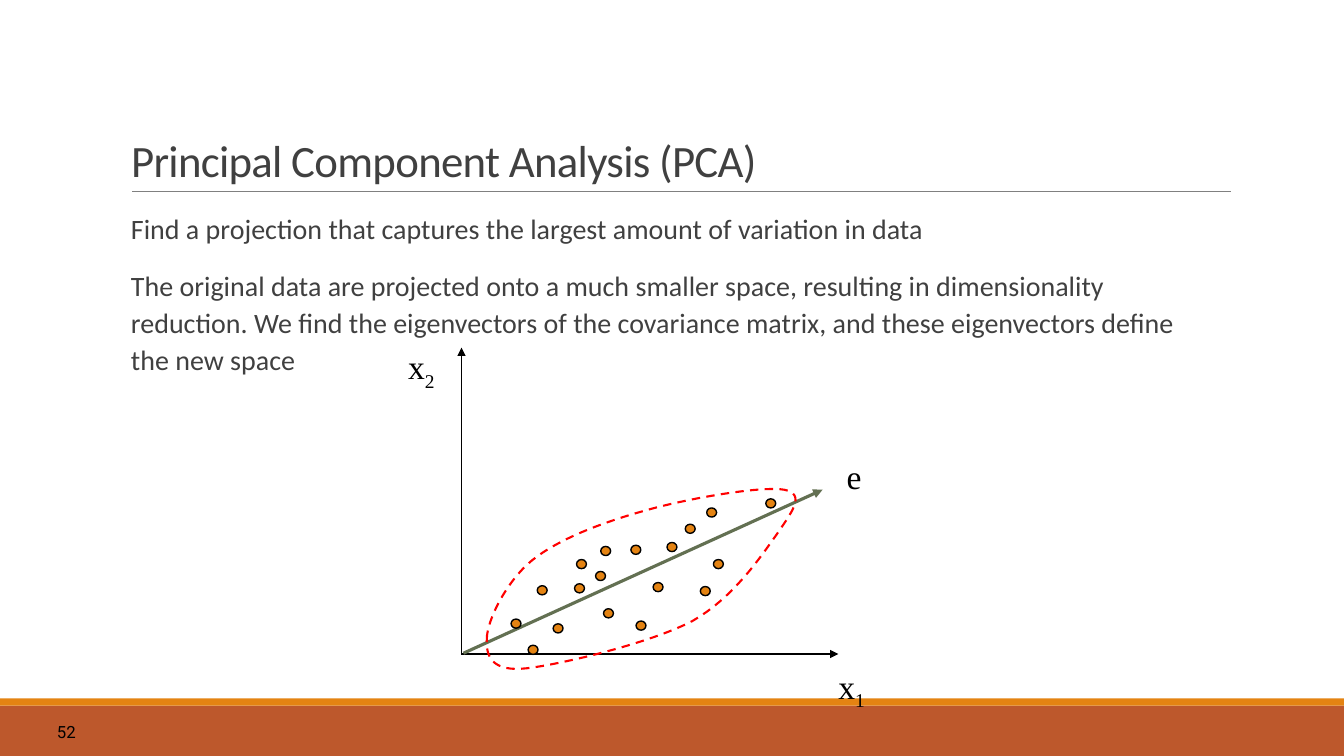
from dataclasses import dataclass

from pptx import Presentation
from pptx.dml.color import RGBColor
from pptx.enum import dml, shapes, text
from pptx.oxml.ns import qn
from pptx.util import Cm, Pt
from lxml import etree


@dataclass(frozen=True)
class Theme:
    rust: str = "BD582C"
    orange: str = "E48312"
    olive: str = "637052"
    red: str = "FF0000"
    rule: str = "808080"
    body_ink: str = "404040"
    black: str = "000000"
    body_font: str = "Calibri"
    label_font: str = "Times New Roman"
    number_font: str = "Roboto"
    title_size: int = 32
    body_size: int = 20
    label_size: int = 24
    number_size: int = 12


THEME = Theme()
ORIGIN = (11.63, 16.48)

# Left and top of each data point, in centimetres
DATA_POINTS = [
    (13.54, 14.76), (14.53, 14.10), (12.88, 15.60), (15.01, 14.40),
    (14.48, 14.71), (16.46, 14.68), (16.03, 15.65), (15.21, 15.34),
    (15.90, 13.74), (17.98, 14.10), (19.30, 12.57), (13.94, 15.72),
    (16.81, 13.67), (17.81, 12.80), (15.14, 13.77), (17.27, 13.21),
    (17.65, 14.78), (13.31, 16.26),
]

# Each Bezier segment: two control points and an end point, in centimetres
CLUSTER_START = (12.27, 16.10)
CLUSTER_CURVES = [
    ((12.27, 15.65), (12.75, 14.66), (13.41, 14.12)),
    ((14.07, 13.59), (15.14, 13.18), (16.21, 12.88)),
    ((17.27, 12.57), (19.18, 12.24), (19.76, 12.34)),
    ((20.32, 12.45), (19.96, 12.90), (19.58, 13.46)),
    ((19.18, 14.02), (18.49, 15.06), (17.45, 15.65)),
    ((16.38, 16.21), (14.15, 16.74), (13.28, 16.84)),
    ((12.42, 16.94), (12.24, 16.56), CLUSTER_START),
]


def rgb(colour):
    return RGBColor.from_string(colour)


def lengths(*values):
    return [Cm(value) for value in values]


def place(shape, left, top, width, height):
    shape.left, shape.top, shape.width, shape.height = lengths(left, top, width, height)


def write(para, words, *, font, size, colour, align=text.PP_ALIGN.LEFT,
          line_spacing=None, before=0, after=0, tracking=None, subscript=None):
    """Fill a paragraph with formatted words and an optional subscript."""
    para.alignment = align
    para.space_before, para.space_after = Pt(before), Pt(after)
    if line_spacing:
        para.line_spacing = line_spacing
    for part in filter(None, (words, subscript)):
        span = para.add_run()
        span.text = part
        span.font.name, span.font.size = font, Pt(size)
        span.font.color.rgb = rgb(colour)
        if tracking:
            span.font._element.set("spc", str(tracking))
        if part is subscript:
            span.font._element.set("baseline", "-25000")


def add_solid(slide, kind, bounds, fill, outline=None):
    shape = slide.shapes.add_shape(kind, *lengths(*bounds))
    shape.shadow.inherit = False
    shape.fill.solid()
    shape.fill.fore_color.rgb = rgb(fill)
    if outline:
        shape.line.color.rgb = rgb(outline)
        shape.line.width = Pt(1)
    else:
        shape.line.fill.background()


def add_line(slide, start, end, colour, width, arrow=False):
    line = slide.shapes.add_connector(
        shapes.MSO_CONNECTOR.STRAIGHT, *lengths(*start, *end))
    line.line.color.rgb = rgb(colour)
    line.line.width = Pt(width)
    if arrow:
        etree.SubElement(line.line._get_or_add_ln(), qn("a:tailEnd"), type="triangle")
    etree.SubElement(line._element.spPr, qn("a:effectLst"))


def add_label(slide, bounds, words, *, wrap=False, **style):
    box = slide.shapes.add_textbox(*lengths(*bounds))
    frame = box.text_frame
    frame.word_wrap = wrap
    frame.vertical_anchor = text.MSO_ANCHOR.MIDDLE
    write(frame.paragraphs[0], words, **style)


def add_title(slide, words):
    title = slide.shapes.title
    place(title, 3.05, 0.79, 27.94, 4.04)
    frame = title.text_frame
    frame.auto_size = text.MSO_AUTO_SIZE.NONE
    frame.vertical_anchor = text.MSO_ANCHOR.BOTTOM
    write(frame.paragraphs[0], words, font=THEME.body_font, size=THEME.title_size,
          colour=THEME.body_ink, line_spacing=0.85, tracking=-50)


def add_body(slide, statements):
    body = slide.placeholders[1]
    place(body, 3.05, 5.13, 27.41, 9.98)
    frame = body.text_frame
    frame.auto_size = text.MSO_AUTO_SIZE.NONE
    frame.margin_left = frame.margin_right = 0
    for index, statement in enumerate(statements):
        para = frame.add_paragraph() if index else frame.paragraphs[0]
        properties = para._p.get_or_add_pPr()
        properties.set("marL", str(Cm(0.25)))
        properties.set("indent", "0")
        etree.SubElement(properties, qn("a:buNone"))
        write(para, statement, font=THEME.body_font, size=THEME.body_size,
              colour=THEME.body_ink, line_spacing=1.1,
              before=12 if index else 0, after=2)


def bezier_points(start, curves, steps=16):
    """Return points along a chain of cubic Bezier curves."""
    points = []
    for first, second, end in curves:
        for step in range(1, steps + 1):
            t = step / steps
            weights = ((1 - t) ** 3, 3 * t * (1 - t) ** 2, 3 * t * t * (1 - t), t ** 3)
            corners = (start, first, second, end)
            points.append(tuple(
                Cm(sum(weight * corner[axis] for weight, corner in zip(weights, corners)))
                for axis in (0, 1)))
        start = end
    return points


def add_cluster_outline(slide):
    builder = slide.shapes.build_freeform(*lengths(*CLUSTER_START))
    builder.add_line_segments(bezier_points(CLUSTER_START, CLUSTER_CURVES), close=True)
    outline = builder.convert_to_shape()
    outline.shadow.inherit = False
    outline.fill.background()
    outline.line.color.rgb = rgb(THEME.red)
    outline.line.width = Pt(1.5)
    outline.line.dash_style = dml.MSO_LINE.DASH


def add_scatter(slide):
    for tip in ((ORIGIN[0], 8.76), (21.13, ORIGIN[1])):
        add_line(slide, ORIGIN, tip, THEME.black, 1, arrow=True)
    add_line(slide, (11.68, 16.46), (20.73, 12.34), THEME.olive, 2.25, arrow=True)
    for left, top in DATA_POINTS:
        add_solid(slide, shapes.MSO_SHAPE.OVAL, (left, top, 0.25, 0.23),
                  THEME.orange, THEME.black)
    add_cluster_outline(slide)
    for bounds, name, subscript in (
            ((10.01, 8.69, 1.22, 1.22), "x", "2"),
            ((20.85, 16.74, 1.22, 1.22), "x", "1"),
            ((21.08, 11.38, 0.89, 1.22), "e", None)):
        add_label(slide, bounds, name, subscript=subscript, font=THEME.label_font,
                  size=THEME.label_size, colour=THEME.black, align=text.PP_ALIGN.CENTER)


def main():
    deck = Presentation()
    deck.slide_width, deck.slide_height = lengths(33.87, 19.05)
    page = deck.slides.add_slide(deck.slide_layouts[1])
    add_solid(page, shapes.MSO_SHAPE.RECTANGLE, (0, 17.78, 33.87, 1.27), THEME.rust)
    add_solid(page, shapes.MSO_SHAPE.RECTANGLE, (0, 17.6, 33.87, 0.18), THEME.orange)
    add_line(page, (3.33, 4.83), (31.01, 4.83), THEME.rule, 0.5)
    add_title(page, "Principal Component Analysis (PCA)")
    add_body(page, [
        "Find a projection that captures the largest amount of variation in data",
        "The original data are projected onto a much smaller space, resulting in "
        "dimensionality reduction. We find the eigenvectors of the covariance matrix, "
        "and these eigenvectors define the new space",
    ])
    add_label(page, (0, 17.93, 2.16, 1.02), "52", wrap=True, font=THEME.number_font,
              size=THEME.number_size, colour=THEME.black, align=text.PP_ALIGN.RIGHT)
    add_scatter(page)
    deck.save("out.pptx")


if __name__ == "__main__":
    main()
